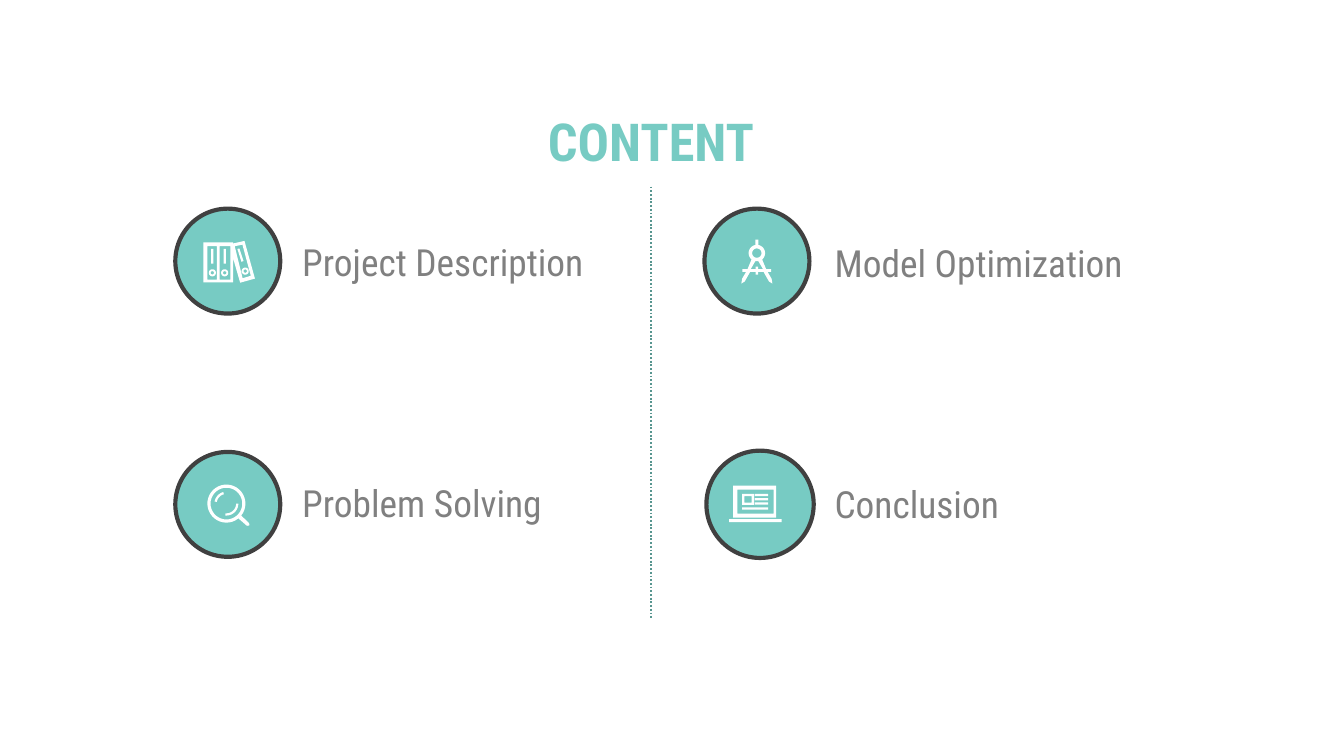
import math

import pptx
import pptx.dml.color
import pptx.enum.dml
import pptx.enum.shapes
import pptx.enum.text
import pptx.util
from lxml import etree

Pt = pptx.util.Pt
FONT = "Roboto Condensed"
COLOURS = {"teal": "77CBC3", "ring": "404040", "label": "808080",
           "divider": "589690", "icon": "FFFFFF"}
DRAWING_NS = "http://schemas.openxmlformats.org/drawingml/2006/main"


def rgb(name):
    return pptx.dml.color.RGBColor.from_string(COLOURS[name])


def arc(x, y, radius, start=0, end=360):
    """Points on an arc, with angles in degrees clockwise from the right."""
    steps = 36
    angles = [math.radians(start + (end - start) * i / steps) for i in range(steps + 1)]
    return [(x + radius * math.cos(a), y + radius * math.sin(a)) for a in angles]


def band(x, y, outer, inner, start, end):
    return arc(x, y, outer, start, end) + arc(x, y, inner, end, start)


def rect(left, top, right, bottom):
    return [(left, top), (right, top), (right, bottom), (left, bottom)]


def mirrored(half):
    """Close a right-hand half outline with its reflection."""
    return half + [(-x, y) for x, y in reversed(half)]


# Each icon is a list of outlines, in points from the centre of its disc;
# an outline inside another one cuts a hole.
def binders_icon():
    outlines = [
        rect(-13, -10, 2.9, 11.5),
        rect(-10.8, -8, -5.8, 10),
        rect(-4.3, -8, 1.4, 10),
        [(2.9, -9.4), (9, -10.8), (14.6, 9.4), (6.7, 11.6), (2.9, -1.5)],
        [(3.8, -7.9), (7.9, -8.8), (12.4, 7.9), (8, 9.2)],
        [(5.2, -6.5), (6.3, -6.7), (8.5, 0), (7.4, 0.4)],
    ]
    for x in (-8.2, -1.6):
        outlines.append(rect(x - 0.6, -6.5, x + 0.6, 1.4))
    for x, y in ((-8.2, 6.3), (-1.6, 6.3), (9.4, 5.4)):
        outlines += [arc(x, y, 1.9), arc(x, y, 0.9)]
    return outlines


def compass_icon():
    body = ([(0.8, -11.5)] + arc(0, -4.3, 4.4, -80, 50)
            + [(5, 4.3), (7.7, 4.3), (7.7, 5.8), (5.8, 5.8), (7.9, 9.4),
               (8.3, 12), (6.5, 10.9), (3.6, 5.8), (0.7, 5.8), (0.7, 7.2)])
    gap = [(0.8, 0), (3.3, 4.3), (0.7, 4.3), (0.7, 2.9)]
    return [mirrored(body), arc(0, -4.3, 2.5), mirrored(gap)]


def magnifier_icon():
    x, y = -0.7, -0.4
    handle = [(11.5, 10.1), (11.6, 11.3), (10.3, 11.5)]
    return [
        arc(x, y, 10.2, 51, 399) + handle,
        arc(x, y, 8.5),
        band(x, y, 6.4, 5.2, 190, 255),
        band(x, y, 6.4, 5.2, 0, 95),
    ]


def laptop_icon():
    outlines = [
        rect(-14.4, -10, 8.6, 7.2),
        rect(-12.2, -7.9, 7.2, 5),
        rect(-9.7, -5.6, -3.2, 0.3),
        rect(-8.4, -4.4, -4.5, -0.9),
        rect(-16.6, 7.9, 11.5, 9.6),
    ]
    for left, y in ((-2.8, -5), (-2.8, -2.7), (-2.8, -0.4), (-9.6, 2.2)):
        outlines.append(rect(left, y - 0.6, 4.3, y + 0.6))
    return outlines


def format_text(box, text, size, colour, bold=False, align=None):
    frame = box.text_frame
    frame.text = text
    frame.word_wrap = True
    frame.auto_size = pptx.enum.text.MSO_AUTO_SIZE.NONE
    frame.vertical_anchor = pptx.enum.text.MSO_ANCHOR.TOP
    para = frame.paragraphs[0]
    para.alignment = align
    para.font.name = FONT
    para.font.size = Pt(size)
    para.font.bold = bold
    para.font.color.rgb = rgb(colour)


def add_title(page, text):
    title = page.shapes.title
    title.left, title.top, title.width, title.height = Pt(280), Pt(54.7), Pt(137.5), Pt(41)
    format_text(title, text, 28, "teal", True, pptx.enum.text.PP_ALIGN.CENTER)


def add_divider(page, x, top, bottom):
    line = page.shapes.add_connector(
        pptx.enum.shapes.MSO_CONNECTOR.STRAIGHT, Pt(x), Pt(top), Pt(x), Pt(bottom))
    line.line.color.rgb = rgb("divider")
    line.line.width = Pt(1)
    line.line.dash_style = pptx.enum.dml.MSO_LINE.ROUND_DOT
    etree.SubElement(line._element.spPr, f"{{{DRAWING_NS}}}effectLst")


def add_disc(page, x, y, diameter):
    disc = page.shapes.add_shape(
        pptx.enum.shapes.MSO_SHAPE.OVAL, Pt(x - diameter / 2), Pt(y - diameter / 2),
        Pt(diameter), Pt(diameter))
    disc.shadow.inherit = False
    disc.fill.solid()
    disc.fill.fore_color.rgb = rgb("teal")
    disc.line.color.rgb = rgb("ring")
    disc.line.width = Pt(2.25)


def add_icon(page, x, y, outlines):
    placed = [[(Pt(x + dx), Pt(y + dy)) for dx, dy in outline] for outline in outlines]
    builder = page.shapes.build_freeform(*placed[0][0])
    builder.add_line_segments(placed[0][1:])
    for outline in placed[1:]:
        builder.move_to(*outline[0])
        builder.add_line_segments(outline[1:])
    icon = builder.convert_to_shape()
    icon.shadow.inherit = False
    icon.fill.solid()
    icon.fill.fore_color.rgb = rgb("icon")
    icon.line.fill.background()


def add_label(page, text, left, top, width):
    box = page.shapes.add_textbox(Pt(left), Pt(top), Pt(width), Pt(31.5))
    format_text(box, text, 20, "label")


def main():
    deck = pptx.Presentation()
    deck.slide_width, deck.slide_height = Pt(720), Pt(405)
    page = deck.slides.add_slide(deck.slide_layouts[5])

    add_title(page, "CONTENT")
    add_divider(page, 348.8, 100, 331.2)

    left_label, right_label = 154.8, 440
    entries = [
        ("Project Description", binders_icon(), 122, 139.9, 56.2, left_label, 124.5, 177),
        ("Problem Solving", magnifier_icon(), 122, 270.2, 56.2, left_label, 253.6, 165),
        ("Model Optimization", compass_icon(), 405.5, 139.9, 56.2, right_label, 124.9, 187),
        ("Conclusion", laptop_icon(), 407.2, 270.2, 57.5, right_label, 254.3, 120),
    ]
    for text, outlines, x, y, diameter, label_left, label_top, label_width in entries:
        add_disc(page, x, y, diameter)
        add_icon(page, x, y, outlines)
        add_label(page, text, label_left, label_top, label_width)

    deck.save("out.pptx")


if __name__ == "__main__":
    main()
